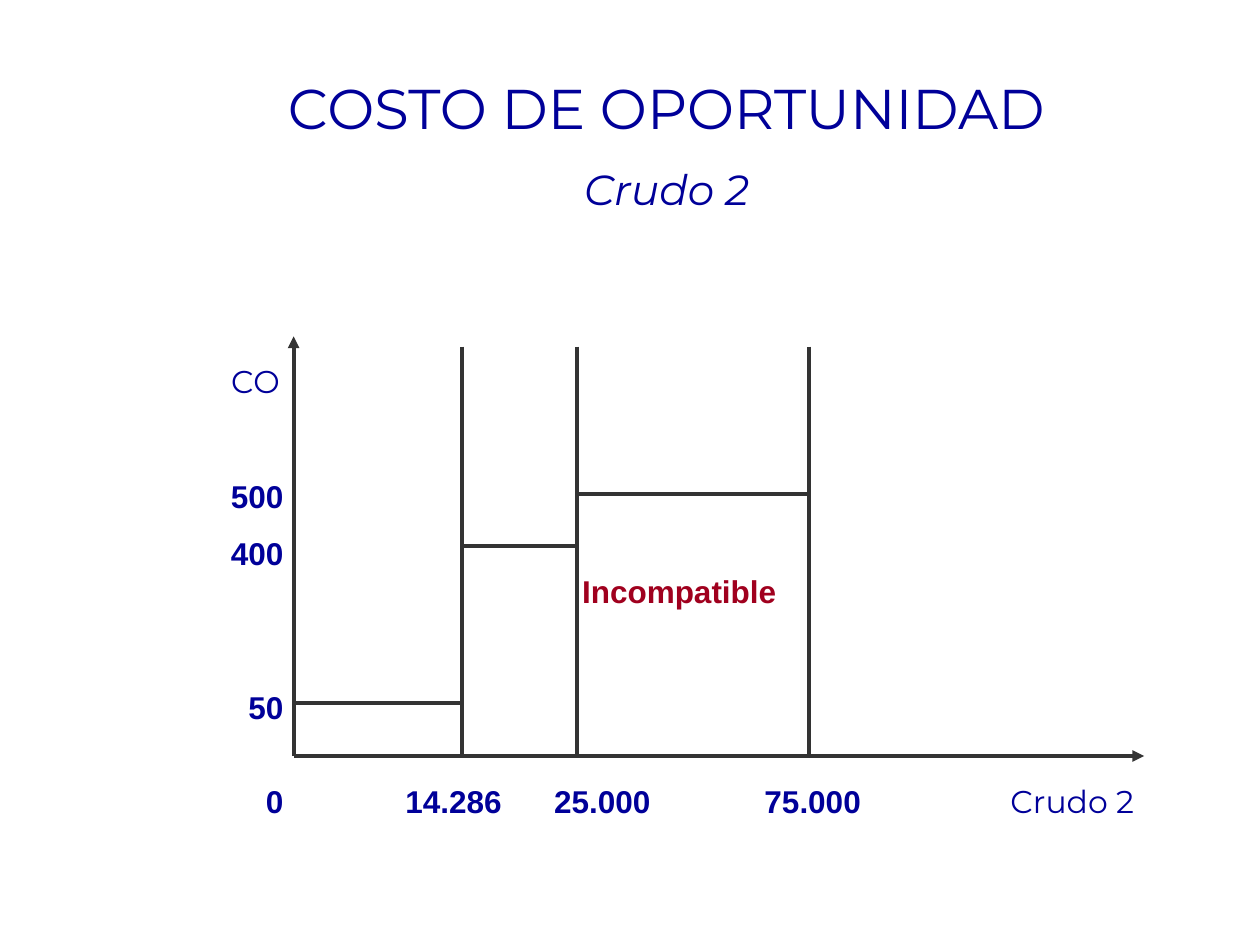
from lxml.etree import SubElement
from pptx import Presentation
from pptx.dml.color import RGBColor
from pptx.enum.shapes import MSO_CONNECTOR
from pptx.enum.text import MSO_ANCHOR, PP_ALIGN
from pptx.oxml.ns import qn
from pptx.util import Inches, Pt

NAVY, RED, GRAY = "000099", "A0001E", "333333"


def format_text(shape, text, size, font, color, align, bold=False, italic=False):
    frame = shape.text_frame
    frame.text = text
    frame.word_wrap = True
    frame.vertical_anchor = MSO_ANCHOR.MIDDLE
    frame.margin_left = frame.margin_right = frame.margin_top = frame.margin_bottom = 0
    paragraph = frame.paragraphs[0]
    paragraph.alignment = align
    run_font = paragraph.runs[0].font
    run_font.name, run_font.size = font, Pt(size)
    run_font.bold, run_font.italic = bold, italic
    run_font.color.rgb = RGBColor.from_string(color)


def add_line(start, end, arrow=False):
    line = slide.shapes.add_connector(
        MSO_CONNECTOR.STRAIGHT, *[Inches(value) for value in (*start, *end)])
    line.line.color.rgb = RGBColor.from_string(GRAY)
    line.line.width = Pt(2.25)
    properties = line.line._get_or_add_ln()
    if arrow:
        SubElement(properties, qn("a:tailEnd"), type="triangle")
    SubElement(properties.getparent(), qn("a:effectLst"))


presentation = Presentation()
presentation.slide_width, presentation.slide_height = Inches(10), Inches(7.5)
slide = presentation.slides.add_slide(presentation.slide_layouts[0])

# Title and subtitle
title, subtitle = slide.shapes.title, slide.placeholders[1]
for shape, top, height in ((title, 0.5, 0.7), (subtitle, 1.25, 0.5)):
    shape.left, shape.top = Inches(1.25), Inches(top)
    shape.width, shape.height = Inches(8.08), Inches(height)
format_text(title, "COSTO DE OPORTUNIDAD", 32, "Montserrat", NAVY, PP_ALIGN.CENTER)
format_text(subtitle, "Crudo 2", 24, "Montserrat", NAVY, PP_ALIGN.CENTER, italic=True)

# Axes
origin_x, origin_y = 2.33, 6
add_line((origin_x, origin_y), (origin_x, 2.67), arrow=True)
add_line((origin_x, origin_y), (9.08, origin_y), arrow=True)

# Cost steps: each ends at a vertical limit
step_start = origin_x
for step_end, level in ((3.67, 5.58), (4.58, 4.33), (6.42, 3.92)):
    add_line((step_end, 2.75), (step_end, origin_y))
    add_line((step_start, level), (step_end, level))
    step_start = step_end

# Labels: text, left, middle, width, alignment, font, colour
label_height = 0.36
axis_left, axis_width, axis_middle = 1.45, 0.8, 6.36
labels = [
    ("CO", axis_left, 3.02, 0.77, PP_ALIGN.RIGHT, "Montserrat", NAVY),
    ("Incompatible", 4.62, 4.69, 1.75, PP_ALIGN.LEFT, "Arial", RED),
    ("Crudo 2", 7.91, axis_middle, 1.2, PP_ALIGN.CENTER, "Montserrat", NAVY),
]
for text, middle in (("500", 3.94), ("400", 4.39), ("50", 5.61), ("0", axis_middle)):
    labels.append((text, axis_left, middle, axis_width, PP_ALIGN.RIGHT, "Arial", NAVY))
for text, center in (("14.286", 3.6), ("25.000", 4.78), ("75.000", 6.45)):
    labels.append((text, center - 0.5, axis_middle, 1, PP_ALIGN.CENTER, "Arial", NAVY))

for text, left, middle, width, align, font, color in labels:
    label = slide.shapes.add_textbox(
        Inches(left), Inches(middle - label_height / 2), Inches(width), Inches(label_height))
    format_text(label, text, 18, font, color, align, bold=font == "Arial")

presentation.save("out.pptx")
